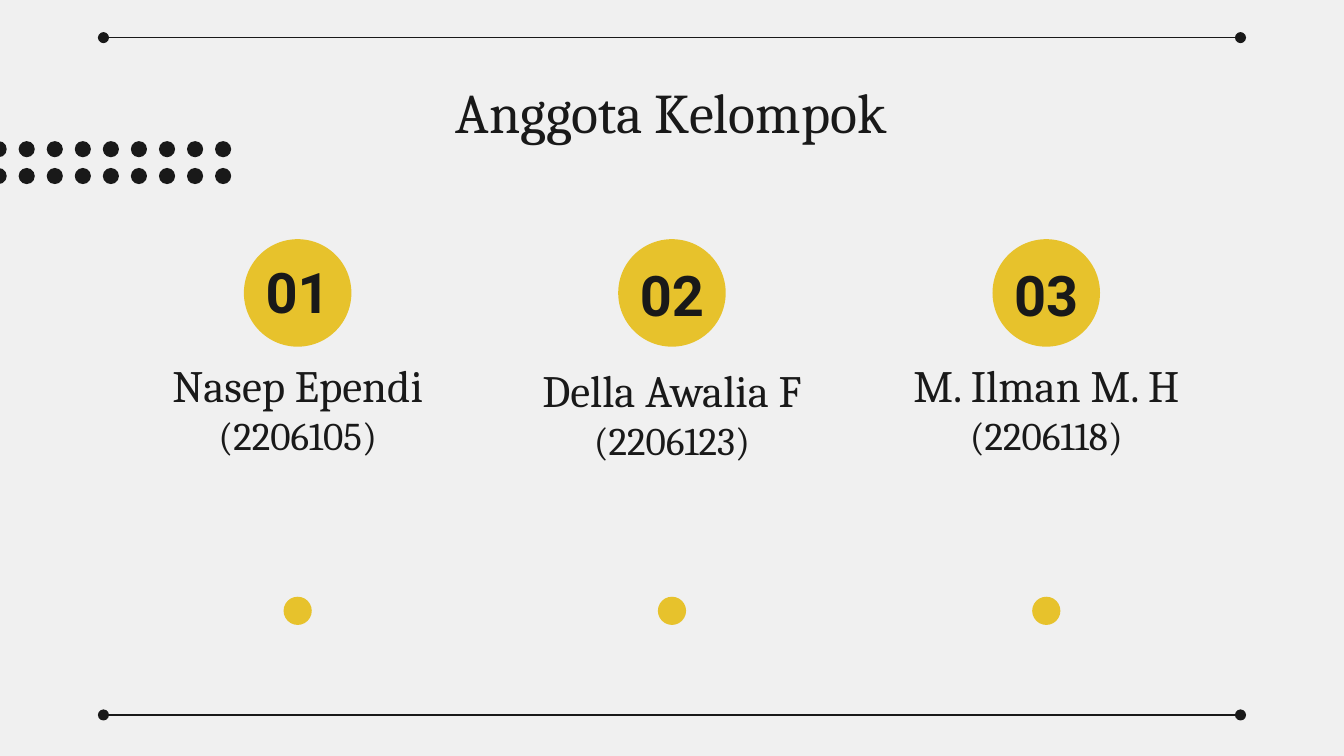
from lxml import etree
from pptx import Presentation
from pptx.dml.color import RGBColor
from pptx.enum.shapes import MSO_CONNECTOR, MSO_SHAPE
from pptx.enum.text import MSO_ANCHOR, PP_ALIGN
from pptx.oxml.ns import qn
from pptx.util import Inches, Pt

OVAL = MSO_SHAPE.OVAL
STRAIGHT = MSO_CONNECTOR.STRAIGHT
TOP, MIDDLE, BOTTOM = MSO_ANCHOR.TOP, MSO_ANCHOR.MIDDLE, MSO_ANCHOR.BOTTOM
CENTER = PP_ALIGN.CENTER

# Content
TITLE = "Anggota Kelompok"
# number, name, student ID, top of number box, top of name box
MEMBERS = [
    ("01", "Nasep Ependi", "(2206105)", 1.92, 2.93),
    ("02", "Della Awalia F", "(2206123)", 1.94, 2.97),
    ("03", "M. Ilman M. H", "(2206118)", 1.94, 2.93),
]

# Style and layout
PAPER, INK, YELLOW = "F0F0F0", "191919", "E7C22C"
SERIF, SANS = "Cambria", "Roboto"
WIDTH = 10
HEIGHT = WIDTH * 9 / 16
COLUMN_STEP = 5.57 / 2
NUMBER_SIZE, MARK_SIZE, NAME_WIDTH = 0.8, 0.21, 2.38
RULE_X, RULE_YS = (0.77, 9.23), (0.28, 5.32)
DOT_COLUMNS, DOT_FIRST, DOT_LAST, DOT_SIZE = 9, -0.07, 1.6, 0.12
DOT_STEP = (DOT_LAST - DOT_FIRST) / (DOT_COLUMNS - 1)
DOT_TOPS = (1.05, 1.25)


def rgb(color):
    return RGBColor.from_string(color)


def add_circle(shapes, left, top, size, color):
    sp = shapes.add_shape(OVAL, Inches(left), Inches(top), Inches(size), Inches(size))
    sp.shadow.inherit = False
    sp.fill.solid()
    sp.fill.fore_color.rgb = rgb(color)
    sp.line.fill.background()


def add_text(s, lines, left, top, width, height, font, anchor, bold=False):
    """Add one centred paragraph; lines holds (text, size) pairs."""
    sp = s.shapes.add_textbox(Inches(left), Inches(top), Inches(width), Inches(height))
    tf = sp.text_frame
    tf.word_wrap = True
    tf.vertical_anchor = anchor
    tf.margin_left = tf.margin_right = tf.margin_top = tf.margin_bottom = Inches(0.1)
    p = tf.paragraphs[0]
    p.alignment = CENTER
    p.font.name = font
    p.font.bold = bold
    p.font.color.rgb = rgb(INK)
    for i, (text, size) in enumerate(lines):
        if i:
            p.add_line_break()
        r = p.add_run()
        r.text = text
        r.font.size = Pt(size)


def add_rule(s, y):
    left, right = RULE_X
    line = s.shapes.add_connector(STRAIGHT, Inches(left), Inches(y), Inches(right), Inches(y))
    line.line.color.rgb = rgb(INK)
    line.line.width = Pt(0.75)
    ln = line.line._get_or_add_ln()
    for end in ("a:headEnd", "a:tailEnd"):
        etree.SubElement(ln, qn(end), type="oval")
    etree.SubElement(line._element.spPr, qn("a:effectLst"))


prs = Presentation()
prs.slide_width, prs.slide_height = Inches(WIDTH), Inches(HEIGHT)
s = prs.slides.add_slide(prs.slide_layouts[6])
s.background.fill.solid()
s.background.fill.fore_color.rgb = rgb(PAPER)

# Title and the rules at top and bottom
add_text(s, [(TITLE, 30)], 0.78, 0.48, 8.43, 0.63, SERIF, TOP)
for y in RULE_YS:
    add_rule(s, y)

# Dot grid at the left edge
dots = s.shapes.add_group_shape()
for column in range(DOT_COLUMNS):
    for top in DOT_TOPS:
        add_circle(dots.shapes, DOT_FIRST + column * DOT_STEP, top, DOT_SIZE, INK)

# One column per member, centred on the slide
for i, (number, name, student_id, number_top, name_top) in enumerate(MEMBERS):
    center = WIDTH / 2 + (i - (len(MEMBERS) - 1) / 2) * COLUMN_STEP
    number_left = center - NUMBER_SIZE / 2
    add_circle(s.shapes, number_left, 1.78, NUMBER_SIZE, YELLOW)
    add_text(s, [(number, 30)], number_left, number_top, NUMBER_SIZE, 0.49, SANS, MIDDLE,
             bold=True)
    add_text(s, [(name, 24), (student_id, 21)], center - NAME_WIDTH / 2, name_top,
             NAME_WIDTH, 0.58, SERIF, BOTTOM)
    add_circle(s.shapes, center - MARK_SIZE / 2, 4.44, MARK_SIZE, YELLOW)

prs.save("out.pptx")
